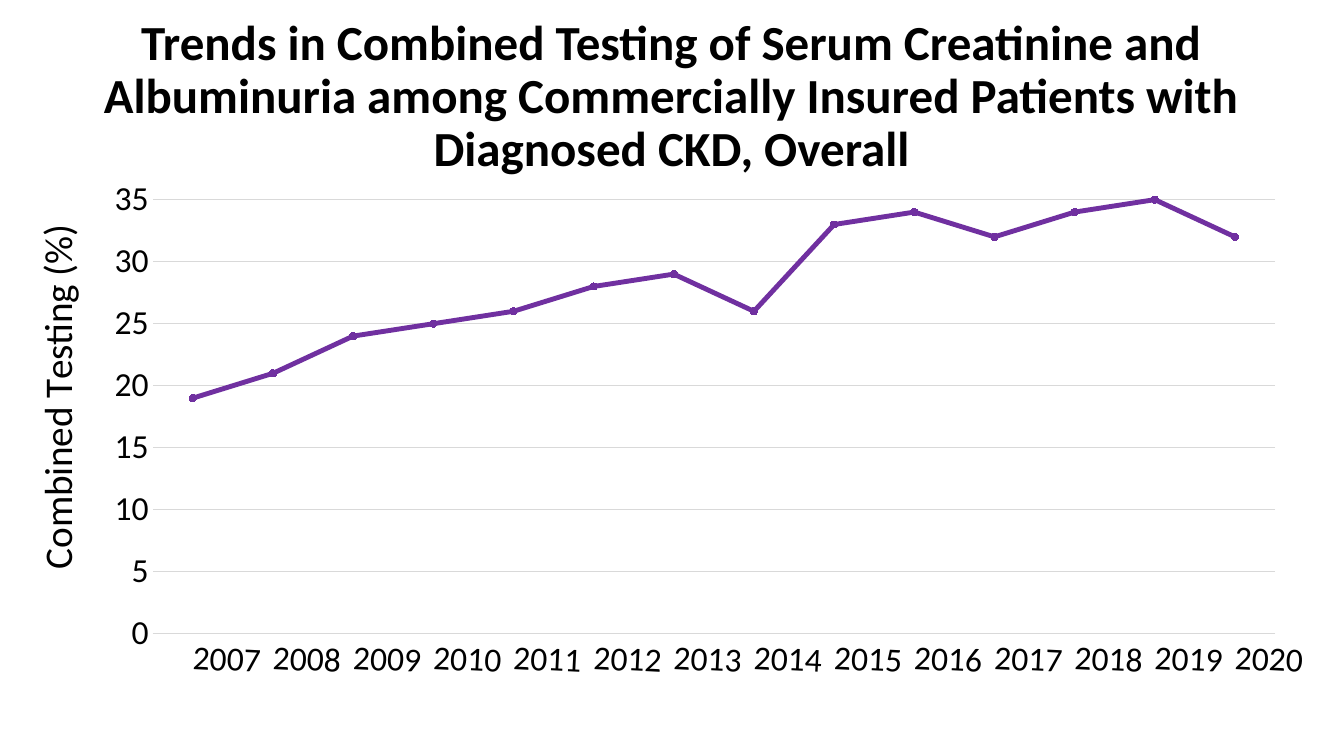
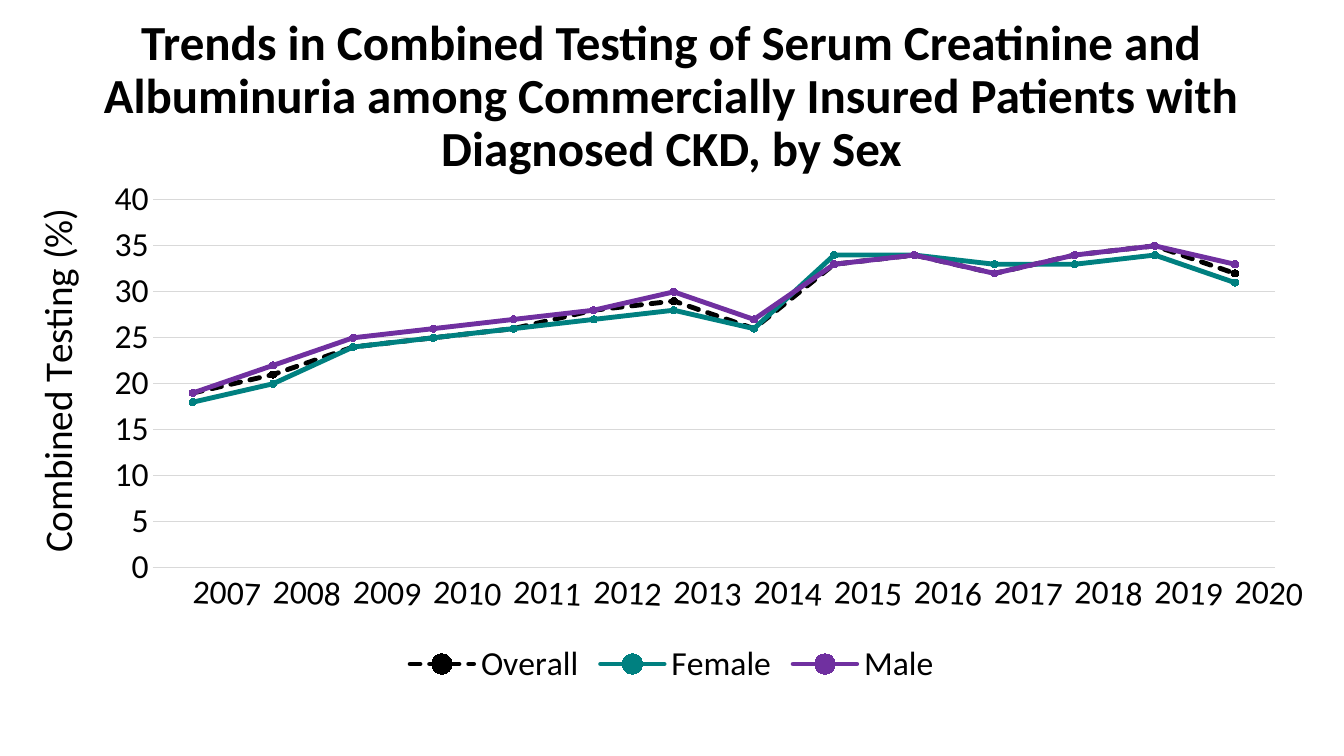
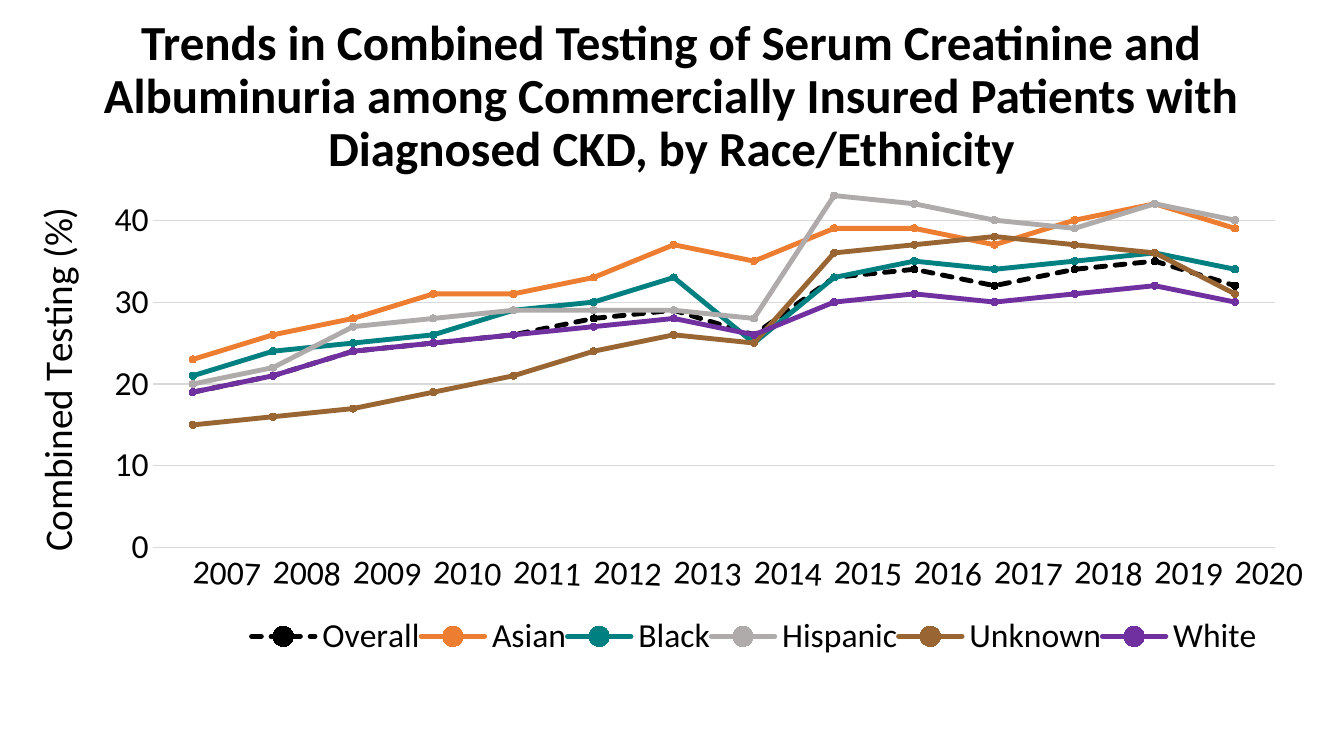
from dataclasses import dataclass

from pptx import Presentation
from pptx.chart.data import CategoryChartData
from pptx.dml.color import RGBColor
from pptx.enum.chart import (XL_CHART_TYPE, XL_LEGEND_POSITION,
                             XL_MARKER_STYLE, XL_TICK_MARK)
from pptx.enum.dml import MSO_LINE
from pptx.enum.text import MSO_ANCHOR, PP_ALIGN
from pptx.oxml import parse_xml
from pptx.oxml.ns import nsdecls, qn
from pptx.util import Cm, Pt


@dataclass(frozen=True)
class Theme:
    font: str = "Calibri"
    black: str = "000000"
    grid: str = "D9D9D9"
    purple: str = "7030A0"
    teal: str = "008080"
    orange: str = "ED7D31"
    gray: str = "AFABAB"
    brown: str = "996633"
    title_size: int = 35
    axis_title_size: int = 28
    label_size: int = 24
    hairline: float = 0.75
    series_line: float = 3.5
    marker_size: int = 5


THEME = Theme()

# Shared frame of every slide
LEFT, WIDTH = Cm(0.33), Cm(33.2)
TITLE_TOP, TITLE_HEIGHT = Cm(0.61), Cm(3.68)
CHART_TOP = Cm(4.29)
PLOT_LEFT, PLOT_WIDTH = 0.106, 0.852

TITLE = ("Trends in Combined Testing of Serum Creatinine and Albuminuria "
         "among Commercially Insured Patients with Diagnosed CKD, ")
YEARS = [str(year) for year in range(2007, 2021)]
OVERALL = [19, 21, 24, 25, 26, 28, 29, 26, 33, 34, 32, 34, 35, 32]


@dataclass(frozen=True)
class Series:
    name: str
    color: str
    values: list
    dashed: bool = False


@dataclass(frozen=True)
class Trend:
    """One slide; the plot and text places are fractions of the chart."""
    group: str
    height: float
    maximum: int
    step: int
    plot_top: float
    plot_height: float
    axis_title_top: float
    series: list
    legend: bool = True
    legend_box: tuple = ()


OVERALL_DASHED = Series("Overall", THEME.black, OVERALL, dashed=True)

TRENDS = [
    Trend("Overall", 13.26, 35, 5, 0.056, 0.825, 0.09,
          [Series("Overall", THEME.purple, OVERALL)], legend=False),
    Trend("by Sex", 13.13, 40, 5, 0.057, 0.706, 0.06, [
        OVERALL_DASHED,
        Series("Female", THEME.teal,
               [18, 20, 24, 25, 26, 27, 28, 26, 34, 34, 33, 33, 34, 31]),
        Series("Male", THEME.purple,
               [19, 22, 25, 26, 27, 28, 30, 27, 33, 34, 32, 34, 35, 33]),
    ]),
    Trend("by Race/Ethnicity", 12.62, 45, 10, 0.018, 0.736, 0.06, [
        OVERALL_DASHED,
        Series("Asian", THEME.orange,
               [23, 26, 28, 31, 31, 33, 37, 35, 39, 39, 37, 40, 42, 39]),
        Series("Black", THEME.teal,
               [21, 24, 25, 26, 29, 30, 33, 25, 33, 35, 34, 35, 36, 34]),
        Series("Hispanic", THEME.gray,
               [20, 22, 27, 28, 29, 29, 29, 28, 43, 42, 40, 39, 42, 40]),
        Series("Unknown", THEME.brown,
               [15, 16, 17, 19, 21, 24, 26, 25, 36, 37, 38, 37, 36, 31]),
        Series("White", THEME.purple,
               [19, 21, 24, 25, 26, 27, 28, 26, 30, 31, 30, 31, 32, 30]),
    ], legend_box=(0.18, 0.89, 0.765, 0.08)),
]


def style_font(font, size, bold=False):
    font.name = THEME.font
    font.size = Pt(size)
    font.bold = bold
    font.color.rgb = RGBColor.from_string(THEME.black)


def style_line(line, color, width):
    line.color.rgb = RGBColor.from_string(color)
    line.width = Pt(width)


def place(element, x, y, width=None, height=None):
    """Give a chart part a manual layout."""
    old = element.find(qn("c:layout"))
    if old is not None:
        element.remove(old)
    target = '<c:layoutTarget val="inner"/>' if element.tag == qn("c:plotArea") else ""
    modes = '<c:xMode val="edge"/><c:yMode val="edge"/>'
    sizes = {"x": x, "y": y, "w": width, "h": height}
    values = "".join(f'<c:{name} val="{value}"/>'
                     for name, value in sizes.items() if value is not None)
    layout = parse_xml(f'<c:layout {nsdecls("c")}><c:manualLayout>{target}{modes}'
                       f'{values}</c:manualLayout></c:layout>')
    before = element.xpath("./c:tx | ./c:legendPos")
    if before:
        before[0].addnext(layout)
    else:
        element.insert(0, layout)


def add_title(slide, text):
    box = slide.shapes.add_textbox(LEFT, TITLE_TOP, WIDTH, TITLE_HEIGHT)
    frame = box.text_frame
    frame.word_wrap = True
    frame.vertical_anchor = MSO_ANCHOR.MIDDLE
    paragraph = frame.paragraphs[0]
    paragraph.alignment = PP_ALIGN.CENTER
    paragraph.line_spacing = 0.9
    run = paragraph.add_run()
    run.text = text
    style_font(run.font, THEME.title_size, bold=True)


def style_axes(chart, trend):
    years, percent = chart.category_axis, chart.value_axis
    for axis in (years, percent):
        axis.major_tick_mark = axis.minor_tick_mark = XL_TICK_MARK.NONE
        style_font(axis.tick_labels.font, THEME.label_size)

    # Years, tilted by three degrees
    style_line(years.format.line, THEME.grid, THEME.hairline)
    years._element.xpath("./c:txPr/a:bodyPr")[0].set("rot", "180000")

    # Percent scale
    percent.minimum_scale, percent.maximum_scale = 0, trend.maximum
    percent.major_unit = trend.step
    percent.tick_labels.number_format = "0"
    percent.tick_labels.number_format_is_linked = False
    percent.format.line.fill.background()
    style_line(percent.major_gridlines.format.line, THEME.grid, THEME.hairline)

    # Upright axis title
    frame = percent.axis_title.text_frame
    run = frame.paragraphs[0].add_run()
    run.text = "Combined Testing (%)"
    style_font(run.font, THEME.axis_title_size)
    title = percent.axis_title._element
    title.xpath(".//a:bodyPr")[0].set("rot", "-5400000")
    place(title, 0.008, trend.axis_title_top)


def style_series(plotted, series):
    plotted.smooth = False
    line = plotted.format.line
    style_line(line, series.color, THEME.series_line)
    if series.dashed:
        line.dash_style = MSO_LINE.SQUARE_DOT
    plotted._element.xpath("./c:spPr/a:ln")[0].set("cap", "rnd")
    marker = plotted.marker
    marker.style = XL_MARKER_STYLE.CIRCLE
    marker.size = THEME.marker_size
    marker.format.fill.solid()
    marker.format.fill.fore_color.rgb = RGBColor.from_string(series.color)
    style_line(marker.format.line, series.color, THEME.hairline)


def add_legend(chart, box):
    chart.has_legend = True
    chart.legend.position = XL_LEGEND_POSITION.BOTTOM
    chart.legend.include_in_layout = False
    style_font(chart.legend.font, THEME.label_size)
    if box:
        place(chart.legend._element, *box)


def add_trend_chart(slide, trend):
    data = CategoryChartData(number_format="0")
    data.categories = YEARS
    for series in trend.series:
        data.add_series(series.name, series.values)
    chart = slide.shapes.add_chart(XL_CHART_TYPE.LINE_MARKERS, LEFT, CHART_TOP,
                                   WIDTH, Cm(trend.height), data).chart
    chart.has_title = False
    chart.has_legend = False
    style_font(chart.font, THEME.label_size)
    plot = chart.plots[0]
    plot.vary_by_categories = False
    for plotted, series in zip(plot.series, trend.series):
        style_series(plotted, series)
    style_axes(chart, trend)
    if trend.legend:
        add_legend(chart, trend.legend_box)
    plot_area = chart._chartSpace.xpath("./c:chart/c:plotArea")[0]
    place(plot_area, PLOT_LEFT, trend.plot_top, PLOT_WIDTH, trend.plot_height)


def main():
    presentation = Presentation()
    presentation.slide_width, presentation.slide_height = Cm(33.87), Cm(19.05)
    blank = presentation.slide_layouts[6]
    for trend in TRENDS:
        slide = presentation.slides.add_slide(blank)
        add_title(slide, TITLE + trend.group)
        add_trend_chart(slide, trend)
    presentation.save("out.pptx")


if __name__ == "__main__":
    main()
